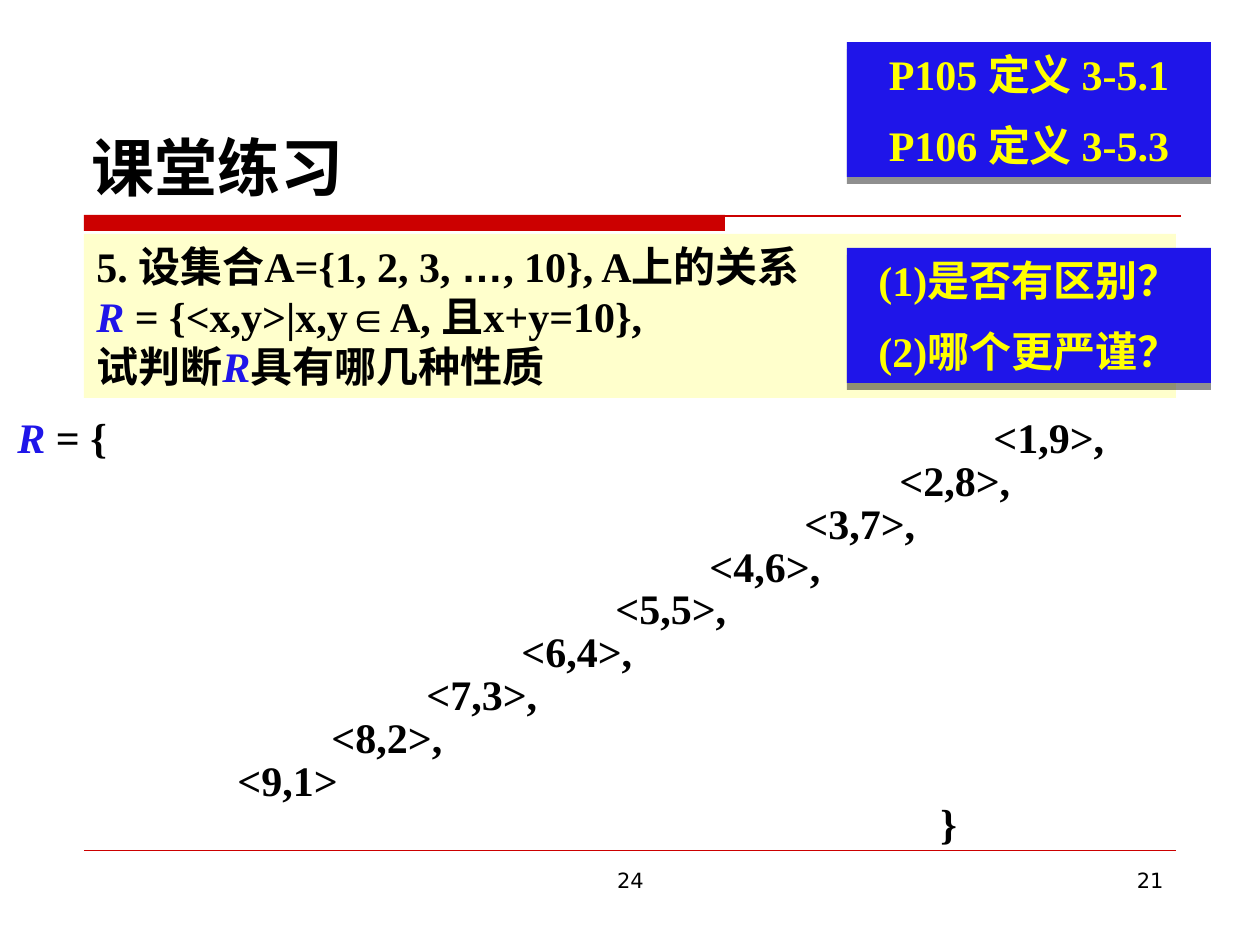
from dataclasses import dataclass
from typing import Optional

from lxml.etree import SubElement
from pptx import Presentation
from pptx.dml.color import RGBColor
from pptx.enum.shapes import MSO_CONNECTOR as Conn, MSO_SHAPE as Kind
from pptx.enum.text import MSO_ANCHOR as Anchor, PP_ALIGN as Align
from pptx.oxml.ns import qn
from pptx.util import Emu, Pt

DPI = 126
BLACK, BLUE, RED = "000000", "1F15E9", "CC0000"
CREAM, YELLOW = "FFFFCC", "FFFF00"
SERIF, SANS, HAN = "Times New Roman", "DejaVu Sans", "Noto Sans CJK SC"


@dataclass(frozen=True)
class Run:
    """A piece of text whose format differs from its paragraph."""
    text: str
    font: Optional[str] = None
    color: Optional[str] = None
    slant: bool = False


@dataclass(frozen=True)
class Box:
    """A place on the slide in px."""
    left: int
    top: int
    width: int
    height: int

    def emu(self):
        """Return the four lengths in EMU."""
        return [px(n) for n in (self.left, self.top, self.width, self.height)]


@dataclass(frozen=True)
class Note:
    """A blue callout with centred lines."""
    box: Box
    lines: tuple


def px(n: int) -> Emu:
    """Turn px into EMU."""
    return Emu(round(n * 914400 / DPI))


def rgb(code: str) -> RGBColor:
    """Turn a hex string into a colour."""
    return RGBColor.from_string(code)


def write(frame, *parts, font=SERIF, size=24, color=BLACK, bold=True,
          align=Align.LEFT, before=0, space=None, left=0, tab=None):
    """Add one paragraph made of strings and runs."""
    para = frame.paragraphs[0]
    if para.runs:
        para = frame.add_paragraph()
        para.space_before = Pt(before)
    para.alignment = align
    if space:
        para.line_spacing = space
    props = para._p.get_or_add_pPr()
    if left:
        props.set("marL", str(px(left)))
        props.set("indent", "0")
    if tab:
        stops = SubElement(props, qn("a:tabLst"))
        SubElement(stops, qn("a:tab"), pos=str(px(tab)), algn="l")
    for part in parts:
        part = Run(part) if isinstance(part, str) else part
        run = para.add_run()
        run.text = part.text
        face = run.font
        face.name, face.size = part.font or font, Pt(size)
        face.bold, face.italic = bold, part.slant
        face.color.rgb = rgb(part.color or color)


def block(slide, box: Box, fill: str):
    """Draw a plain filled rectangle."""
    shape = slide.shapes.add_shape(Kind.RECTANGLE, *box.emu())
    shape.shadow.inherit = False
    shape.fill.solid()
    shape.fill.fore_color.rgb = rgb(fill)
    shape.line.fill.background()
    shape.text_frame.word_wrap = True
    shape.text_frame.vertical_anchor = Anchor.TOP
    return shape


def rule(slide, left: int, right: int, top: int, width: float):
    """Draw a level red line."""
    line = slide.shapes.add_connector(
        Conn.STRAIGHT, px(left), px(top), px(right), px(top))
    line.line.color.rgb = rgb(RED)
    line.line.width = Pt(width)
    SubElement(line._element.spPr, qn("a:effectLst"))


def label(slide, box: Box):
    """Add a wrapping text box and return its frame."""
    frame = slide.shapes.add_textbox(*box.emu()).text_frame
    frame.word_wrap = True
    return frame


def callout(slide, note: Note):
    """Draw a blue note with a hard shadow below it."""
    shape = block(slide, note.box, BLUE)
    list_ = shape._element.spPr.find(qn("a:effectLst"))
    cast = SubElement(list_, qn("a:outerShdw"), blurRad="0",
                      dist=str(Pt(4)), dir="5400000", algn="t", rotWithShape="0")
    tint = SubElement(cast, qn("a:srgbClr"), val=BLACK)
    SubElement(tint, qn("a:alpha"), val="44000")
    for line in note.lines:
        write(shape.text_frame, *line, color=YELLOW, align=Align.CENTER, before=12)


def pairs(slide):
    """List the pairs of the relation on a falling diagonal."""
    frame = label(slide, Box(5, 413, 1255, 441))
    start, step, count = 976, 94.5, 9
    for i in range(1, count + 1):
        text = f"<{i},{10 - i}>" + ("," if i < count else "")
        if i == 1:
            write(frame, Run("R", color=BLUE, slant=True), " = {\t" + text,
                  space=0.85, tab=start)
        else:
            write(frame, text, space=0.85, left=round(start - step * (i - 1)))
    write(frame, "}", space=0.85, left=923)


def main():
    """Build the slide and save it."""
    deck = Presentation()
    deck.slide_width, deck.slide_height = px(1260), px(945)
    slide = deck.slides.add_slide(deck.slide_layouts[5])

    block(slide, Box(84, 215, 641, 16), RED)
    rule(slide, 84, 1181, 216, 0.75)
    rule(slide, 84, 1176, 850, 0.25)

    for text, box, align in (("24", Box(431, 861, 399, 66), Align.CENTER),
                             ("21", Box(903, 861, 273, 66), Align.RIGHT)):
        write(label(slide, box), text, font=SANS, size=12, bold=False, align=align)

    title = slide.shapes.title
    title.left, title.top, title.width, title.height = Box(79, 42, 1103, 168).emu()
    title.text_frame.vertical_anchor = Anchor.BOTTOM
    write(title.text_frame, "课堂练习", font=SANS, size=36)

    task = block(slide, Box(84, 234, 1092, 164), CREAM).text_frame
    name = Run("R", color=BLUE, slant=True)
    write(task, "5. 设集合A={1, 2, 3, ", Run("…", "Arial"), ", 10}, A上的关系")
    write(task, name, " = {<x,y>|x,y", Run("∈", "Arial"), "A, 且x+y=10},")
    write(task, "试判断", name, "具有哪几种性质")

    pairs(slide)
    notes = (
        Note(Box(847, 42, 364, 135), (("P105 ", Run("定义 ", HAN), "3-5.1"),
                                      ("P106 ", Run("定义 ", HAN), "3-5.3"))),
        Note(Box(847, 248, 364, 135), (("(1)是否有区别？",), ("(2)哪个更严谨？",))),
    )
    for note in notes:
        callout(slide, note)
    deck.save("out.pptx")


if __name__ == "__main__":
    main()
